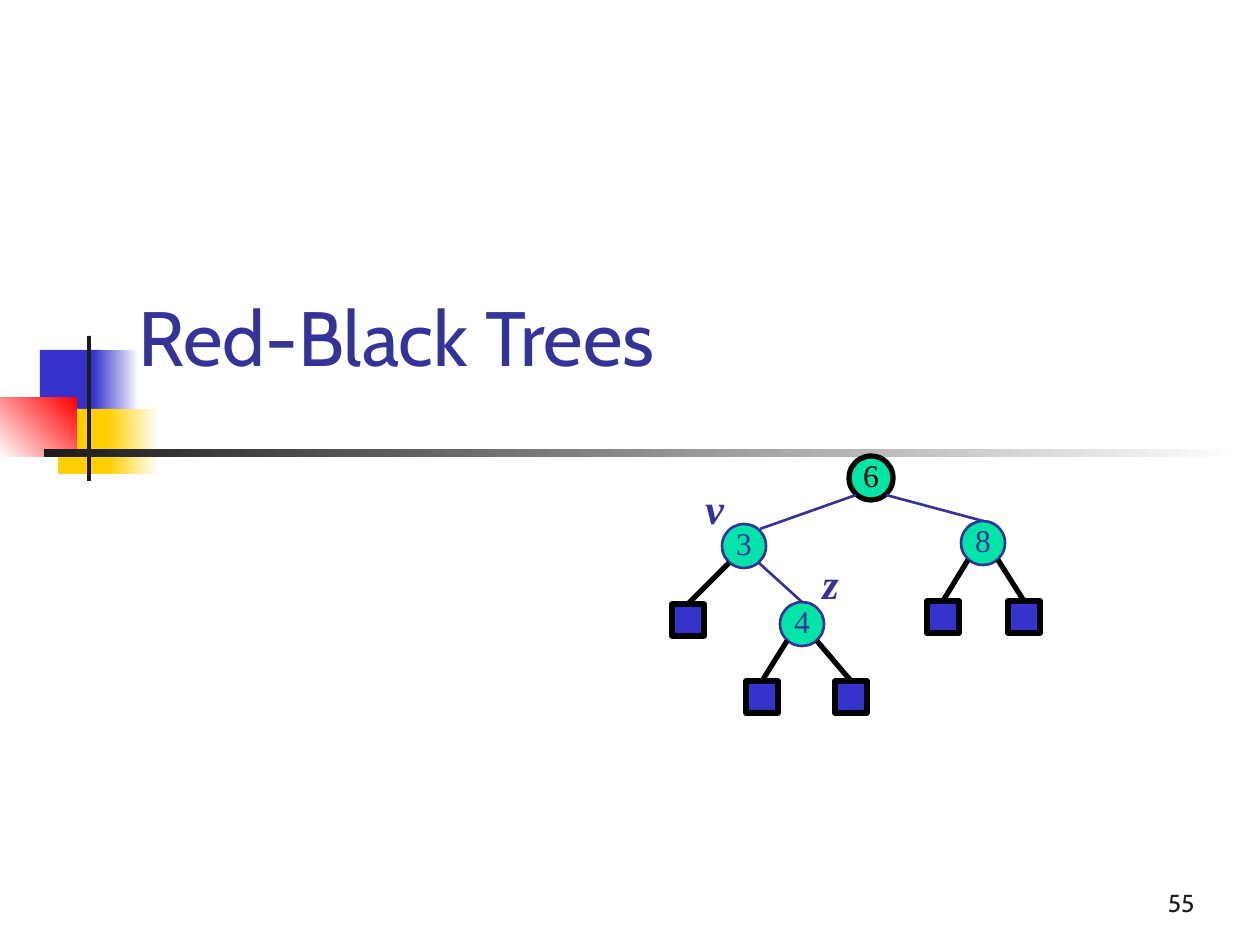
from lxml.etree import SubElement
from pptx import Presentation
from pptx.dml.color import RGBColor
from pptx.enum.shapes import MSO_CONNECTOR as CONN, MSO_SHAPE as SHAPE
from pptx.enum.text import MSO_ANCHOR as ANCHOR, MSO_AUTO_SIZE as AUTO, PP_ALIGN as ALIGN
from pptx.oxml.ns import qn
from pptx.util import Emu, Pt

SANS, SERIF = "Cabin", "Times New Roman"
BLUE, NAVY, GOLD, RED = "3333CC", "333399", "FFCF01", "FF0000"
MINT, INK, BLACK, WHITE = "00E4A8", "1C1C1C", "000000", "FFFFFF"
NODE, LEAF = 44, 32


def px(n):
    """Turn pixels into EMU."""
    return Emu(round(n * 914400 / 126))


def rgb(value):
    """Turn a hex string into a colour."""
    return RGBColor.from_string(value)


def set_text(sp, text, font, size, color, align, anchor):
    """Write one styled paragraph into a shape."""
    tf = sp.text_frame
    tf.text = text
    tf.auto_size = AUTO.NONE
    tf.vertical_anchor = anchor
    p = tf.paragraphs[0]
    p.alignment = align
    p.font.name, p.font.size = font, Pt(size)
    p.font.color.rgb = rgb(color)
    return p


def add_shape(s, kind, x, y, w, h, fill, line=None, width=0):
    """Add a plain preset shape."""
    sp = s.shapes.add_shape(kind, px(x), px(y), px(w), px(h))
    sp.shadow.inherit = False
    sp.fill.solid()
    sp.fill.fore_color.rgb = rgb(fill)
    if line:
        sp.line.color.rgb = rgb(line)
        sp.line.width = Pt(width)
    else:
        sp.line.fill.background()
    return sp


def add_fade(s, x, y, w, h, start, end, angle=0):
    """Add a rectangle that fades from one colour to another."""
    sp = add_shape(s, SHAPE.RECTANGLE, x, y, w, h, start)
    sp.fill.gradient()
    sp.fill.gradient_angle = angle
    for stop, color, position in zip(sp.fill.gradient_stops, (start, end), (0, 1)):
        stop.color.rgb = rgb(color)
        stop.position = position


def add_text(s, x, y, w, h, text, font, size, color, align, anchor):
    """Add a text box with one paragraph."""
    sp = s.shapes.add_textbox(px(x), px(y), px(w), px(h))
    sp.text_frame.word_wrap = True
    return set_text(sp, text, font, size, color, align, anchor)


def add_ornament(s, x, y):
    """Draw the coloured blocks and the crossed bars."""
    add_shape(s, SHAPE.RECTANGLE, x + 40, y + 14, 60, 66, BLUE)
    add_fade(s, x + 93, y + 14, 46, 66, BLUE, WHITE)
    add_shape(s, SHAPE.RECTANGLE, x + 58, y + 73, 58, 65, GOLD)
    add_fade(s, x + 108, y + 73, 51, 65, GOLD, WHITE)
    add_fade(s, x, y + 62, 77, 59, WHITE, RED, 45)
    add_shape(s, SHAPE.RECTANGLE, x + 87, y, 4, 145, INK)
    add_fade(s, x + 44, y + 113, 1198, 8, INK, WHITE)


def add_title(s, x, y, w, h):
    """Place and format the title."""
    sp = s.shapes.title
    sp.left, sp.top, sp.width, sp.height = px(x), px(y), px(w), px(h)
    set_text(sp, "Red-Black Trees", SANS, 44, NAVY, ALIGN.LEFT, ANCHOR.BOTTOM)


def add_node(s, cx, cy, key, color, width):
    """Draw an inner node around its centre."""
    r = NODE / 2
    sp = add_shape(s, SHAPE.OVAL, cx - r, cy - r, NODE, NODE, MINT, color, width)
    tf = sp.text_frame
    tf.word_wrap = False
    tf.margin_left = tf.margin_right = tf.margin_top = 0
    tf.margin_bottom = px(6)
    set_text(sp, key, SERIF, 18, color, ALIGN.CENTER, ANCHOR.MIDDLE)
    return sp


def add_leaf(s, cx, cy):
    """Draw an external leaf around its centre."""
    r = LEAF / 2
    return add_shape(s, SHAPE.RECTANGLE, cx - r, cy - r, LEAF, LEAF, BLUE, BLACK, 3)


def add_edge(s, parent, child, color, width, target=None):
    """Link the flank of a parent to the top of a child or to a given point."""
    (x1, y1), (x2, y2) = parent, child
    side = 15 if x2 > x1 else -15
    end = (x2, y2) if target else (x2 + 16, y2 - 17)
    c = s.shapes.add_connector(CONN.STRAIGHT, px(x1 + side), px(y1 + 17), px(end[0]), px(end[1]))
    if target:
        c.end_connect(target, 0)
    c.line.color.rgb = rgb(color)
    c.line.width = Pt(width)
    SubElement(c._element.spPr, qn("a:effectLst"))


def add_tree(s, x, y):
    """Draw the search tree with its node labels."""
    nodes = {"6": (199, 22), "3": (72, 90), "8": (311, 87), "4": (130, 168)}
    leaves = {"3": [(16, 164)], "8": [(271, 161), (352, 161)], "4": [(90, 241), (179, 241)]}
    at = {key: (x + dx, y + dy) for key, (dx, dy) in nodes.items()}
    ovals = {}
    for key, (cx, cy) in at.items():
        color, width = (BLACK, 3) if key == "6" else (NAVY, 1.5)
        ovals[key] = add_node(s, cx, cy, key, color, width)
    for parent, child in ("63", "68", "34"):
        target = None if child == "3" else ovals[child]
        add_edge(s, at[parent], at[child], NAVY, 1.5, target)
    for parent, spots in leaves.items():
        for dx, dy in spots:
            leaf = add_leaf(s, x + dx, y + dy)
            add_edge(s, at[parent], (x + dx, y + dy), BLACK, 3, leaf)
    for label, dx, dy in (("v", 21, 20), ("z", 137, 95)):
        p = add_text(s, x + dx, y + dy, 43, 63, label, SERIF, 24, NAVY, ALIGN.CENTER, ANCHOR.TOP)
        p.font.bold = p.font.italic = True


def main():
    """Build the slide and save it."""
    prs = Presentation()
    prs.slide_width, prs.slide_height = px(1260), px(945)
    s = prs.slides.add_slide(prs.slide_layouts[5])
    add_ornament(s, 0, 336)
    add_title(s, 126, 231, 1071, 157)
    add_text(s, 945, 861, 262, 63, "55", SANS, 14, INK, ALIGN.RIGHT, ANCHOR.BOTTOM)
    add_tree(s, 672, 456)
    prs.save("out.pptx")


if __name__ == "__main__":
    main()
